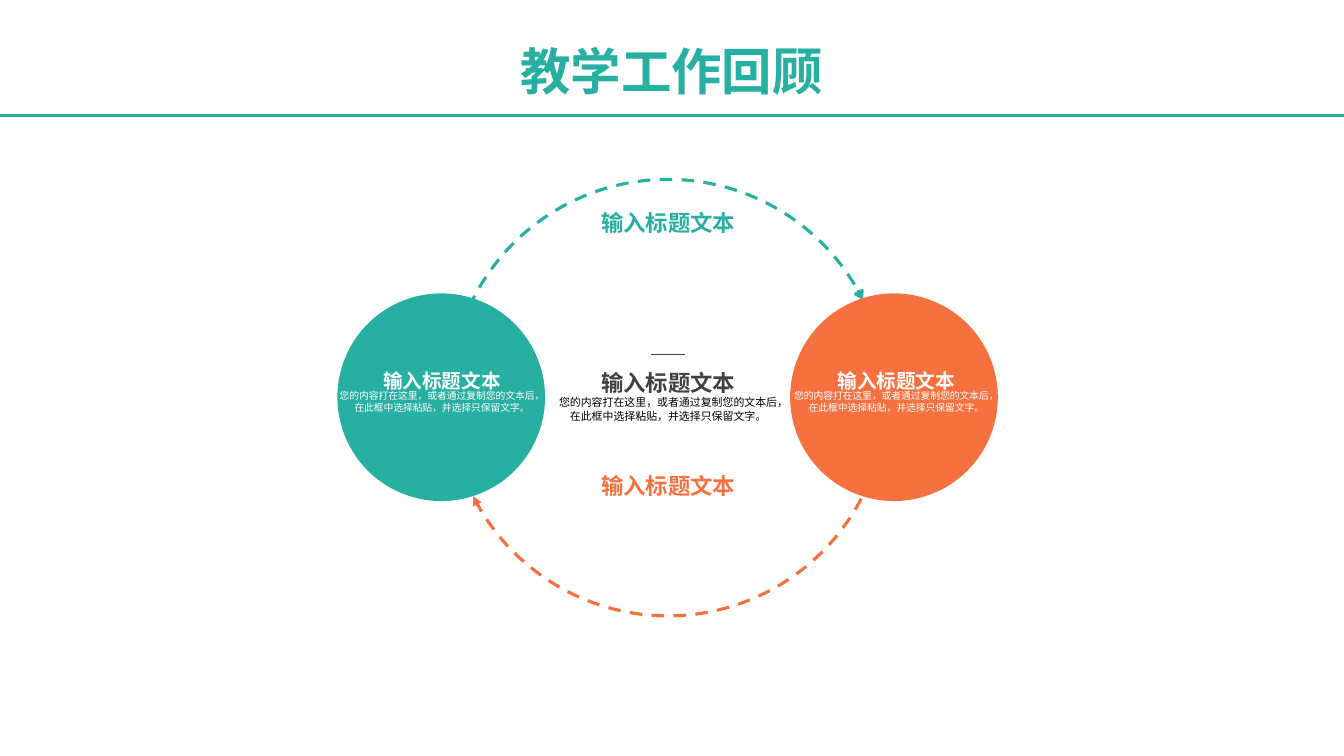
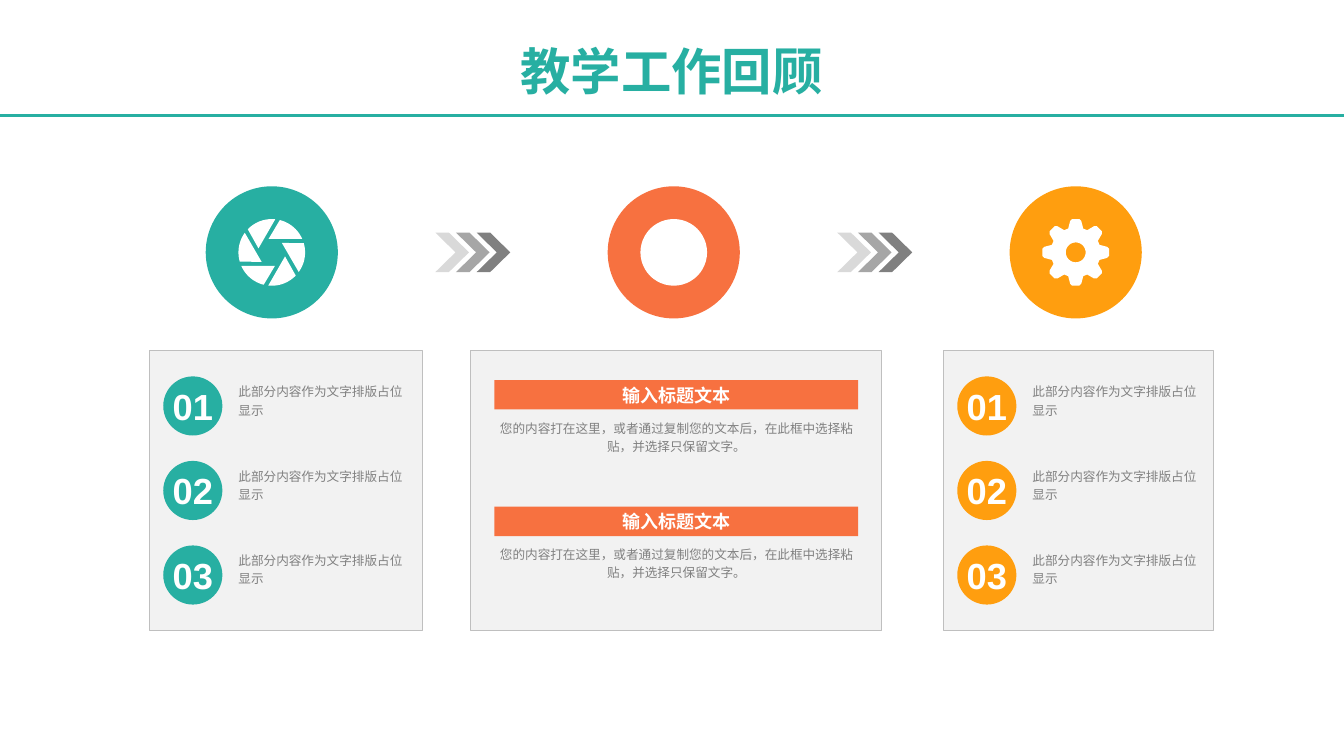
from dataclasses import dataclass
from math import cos, radians, sin

from lxml.etree import SubElement
from pptx import Presentation
from pptx.dml.color import RGBColor
from pptx.enum.dml import MSO_LINE_DASH_STYLE as DASH
from pptx.enum.lang import MSO_LANGUAGE_ID as LANG
from pptx.enum.shapes import MSO_CONNECTOR, MSO_SHAPE as SHAPE
from pptx.enum.text import MSO_ANCHOR as ANCHOR, MSO_AUTO_SIZE as AUTO, PP_ALIGN as ALIGN
from pptx.oxml.ns import qn
from pptx.util import Cm, Pt


@dataclass(frozen=True)
class Theme:
    teal: str = "27AFA2"
    orange: str = "F77140"
    amber: str = "FF9E0F"
    white: str = "FFFFFF"
    black: str = "000000"
    dark: str = "404040"
    slate: str = "313C4B"
    gray: str = "808080"
    border: str = "BFBFBF"
    panel: str = "F2F2F2"
    chevrons: tuple = ("D9D9D9", "A6A6A6", "808080")
    font: str = "Arial"
    title_font: str = "Noto Sans CJK SC"
    title: float = 36
    number: float = 25.9
    heading: float = 16
    circle_heading: float = 14
    bar: float = 12.9
    body: float = 9
    note: float = 7.8
    circle_note: float = 7


T = Theme()
WIDTH, HEIGHT = 33.87, 19.05
HEADING = "输入标题文本"
CONTENT = "您的内容打在这里，或者通过复制您的文本后，在此框中选择粘贴，并选择只保留文字。"
ITEM = "此部分内容作为文字排版占位显示"


def rgb(value):
    return RGBColor.from_string(value)


def rotate(points, degrees):
    c, s = cos(radians(degrees)), sin(radians(degrees))
    return [(x * c - y * s, x * s + y * c) for x, y in points]


def circle_points(radius, start, end, step):
    return [(radius * cos(radians(a)), radius * sin(radians(a)))
            for a in range(start, end + 1, step)]


class Deck:
    def __init__(self):
        self.prs = Presentation()
        self.prs.slide_width, self.prs.slide_height = Cm(WIDTH), Cm(HEIGHT)
        self.slide = None

    def new_slide(self, title):
        self.slide = self.prs.slides.add_slide(self.prs.slide_layouts[5])
        self.line(0, WIDTH, 2.9, T.teal, 2.25)
        sp = self.slide.shapes.title
        sp.left, sp.top, sp.width, sp.height = Cm(9.14), Cm(0.43), Cm(15.57), Cm(2.06)
        self.fill_text(sp, title, T.title, T.teal, bold=True, spacing=1.3,
                       font=T.title_font, margins=(0.25, 0.13))

    def fill_text(self, sp, text, size, color, bold=False, align=ALIGN.CENTER, spacing=1,
                  anchor=ANCHOR.TOP, font=T.font, margins=(0, 0), wrap=True):
        tf = sp.text_frame
        tf.auto_size = AUTO.NONE
        tf.word_wrap = wrap
        tf.vertical_anchor = anchor
        tf.margin_left = tf.margin_right = Cm(margins[0])
        tf.margin_top = tf.margin_bottom = Cm(margins[1])
        tf.text = text
        p = tf.paragraphs[0]
        p.alignment, p.line_spacing = align, spacing
        r = p.runs[0]
        r.font.name, r.font.size, r.font.bold = font, Pt(size), bold
        r.font.color.rgb = rgb(color)
        r.font.language_id = LANG.SIMPLIFIED_CHINESE
        latin = r.font._element.find(qn("a:latin"))
        ea = latin.makeelement(qn("a:ea"), {"typeface": font})
        latin.addnext(ea)

    def text(self, x, y, w, h, text, size, color, **style):
        sp = self.slide.shapes.add_textbox(Cm(x), Cm(y), Cm(w), Cm(h))
        self.fill_text(sp, text, size, color, **style)

    def paint(self, sp, fill=None, line=None, width=0):
        sp.shadow.inherit = False
        if fill:
            sp.fill.solid()
            sp.fill.fore_color.rgb = rgb(fill)
        else:
            sp.fill.background()
        if line:
            sp.line.color.rgb = rgb(line)
            sp.line.width = Pt(width)
        else:
            sp.line.fill.background()
        return sp

    def shape(self, kind, x, y, w, h, fill=None, line=None, width=0):
        sp = self.slide.shapes.add_shape(kind, Cm(x), Cm(y), Cm(w), Cm(h))
        return self.paint(sp, fill, line, width)

    def circle(self, cx, cy, d, fill, **style):
        return self.shape(SHAPE.OVAL, cx - d / 2, cy - d / 2, d, d, fill, **style)

    def line(self, x1, x2, y, color, width):
        cn = self.slide.shapes.add_connector(
            MSO_CONNECTOR.STRAIGHT, Cm(x1), Cm(y), Cm(x2), Cm(y))
        cn.line.color.rgb = rgb(color)
        cn.line.width = Pt(width)
        SubElement(cn._element.spPr, qn("a:effectLst"))

    def arc(self, x, y, d, start, end, color, head):
        sp = self.shape(SHAPE.ARC, x, y, d, d, line=color, width=2.25)
        sp.adjustments[0], sp.adjustments[1] = start * 0.6, end * 0.6
        sp.line.dash_style = DASH.DASH
        ln = sp._element.spPr.find(qn("a:ln"))
        SubElement(ln, qn("a:tailEnd"), {"type": head})

    def outline(self, cx, cy, contours, fill):
        placed = [[(Cm(cx + x), Cm(cy + y)) for x, y in c] for c in contours]
        fb = self.slide.shapes.build_freeform(*placed[0][0])
        for i, points in enumerate(placed):
            if i:
                fb.move_to(*points[0])
            fb.add_line_segments(points[1:], close=True)
        self.paint(fb.convert_to_shape(), fill)

    def aperture(self, cx, cy):
        blade = circle_points(0.84, -76, -24, 4) + [(-0.08, -0.34)]
        self.outline(cx, cy, [rotate(blade, 60 * i) for i in range(6)], T.white)

    def gear(self, cx, cy):
        side = [(-0.19, -0.6), (-0.14, -0.79), (-0.09, -0.84)]
        tooth = side + [(-x, y) for x, y in reversed(side)]
        rim = [pt for i in range(8) for pt in rotate(tooth, 45 * i)]
        self.outline(cx, cy, [rim, circle_points(0.25, 0, 350, 10)], T.white)

    def chevrons(self, x, y):
        for i, color in enumerate(T.chevrons):
            sp = self.shape(SHAPE.CHEVRON, x + 0.52 * i, y, 0.85, 1, color)
            sp.adjustments[0] = 0.6

    def panel(self, x, w):
        self.shape(SHAPE.RECTANGLE, x, 8.83, w, 7.06, T.panel, T.border, 0.25)

    def numbered_panel(self, x, w, color):
        self.panel(x, w)
        for i in range(3):
            sp = self.circle(x + 1.1, 10.23 + 2.13 * i, 1.49, color)
            self.fill_text(sp, f"{i + 1:02d}", T.number, T.white, bold=True,
                           anchor=ANCHOR.MIDDLE, wrap=False)
            self.text(x + 2.25, 9.61 + 2.12 * i, 4.27, 1.22, ITEM, T.body, T.gray,
                      align=ALIGN.LEFT, spacing=1.2)

    def bar_panel(self, x, w):
        self.panel(x, w)
        for i in range(2):
            left, top, width = x + 0.61, 9.58 + 3.19 * i, 9.17
            sp = self.shape(SHAPE.RECTANGLE, left, top, width, 0.74, T.orange)
            self.fill_text(sp, HEADING, T.bar, T.white, bold=True,
                           anchor=ANCHOR.MIDDLE, wrap=False)
            self.text(left, top + 0.94, width, 0.95, CONTENT, T.body, T.gray, spacing=1.2)

    def caption(self, cx, w, y, size, color):
        self.text(cx - w / 2, y, w, 0.69, HEADING, size, color, bold=True)


def cycle_slide(deck):
    deck.new_slide("教学工作回顾")
    cx, w = 16.84, 5.66
    deck.arc(11.33, 4.52, 11, 204.5, 333.4, T.teal, "arrow")
    deck.arc(11.33, 4.52, 11, 27.6, 153.2, T.orange, "triangle")
    for y, color in ((5.28, T.teal), (9.3, T.dark), (11.91, T.orange)):
        deck.caption(cx, w, y, T.heading, color)
    deck.text(cx - w / 2, 9.98, w, 1.22, CONTENT, T.note, T.black)
    deck.line(cx - 0.43, cx + 0.43, 8.92, T.slate, 0.5)
    w = 5.26
    for circle_x, text_x, color in ((11.12, 11.14, T.teal), (22.53, 22.59, T.orange)):
        deck.circle(circle_x, 10.01, 5.18, color, line=color, width=1.5)
        deck.caption(text_x, w, 9.3, T.circle_heading, T.white)
        deck.text(text_x - w / 2, 9.83, w, 1.09, CONTENT, T.circle_note, T.white)


def process_slide(deck):
    deck.new_slide("教学工作回顾")
    step, cy = 10.13, 6.36
    centers = [6.85 + step * i for i in range(3)]
    for i in range(2):
        deck.chevrons(10.97 + step * i, 5.86)
    for cx, color in zip(centers, (T.teal, T.orange, T.amber)):
        deck.circle(cx, cy, 3.33, color)
    deck.aperture(centers[0], cy)
    deck.circle(centers[1], cy, 1.68, T.white)
    deck.gear(centers[2], cy)
    deck.bar_panel(11.85, 10.37)
    deck.numbered_panel(23.77, 6.81, T.amber)
    deck.numbered_panel(3.76, 6.88, T.teal)


def main():
    deck = Deck()
    cycle_slide(deck)
    process_slide(deck)
    deck.prs.save("out.pptx")


if __name__ == "__main__":
    main()
